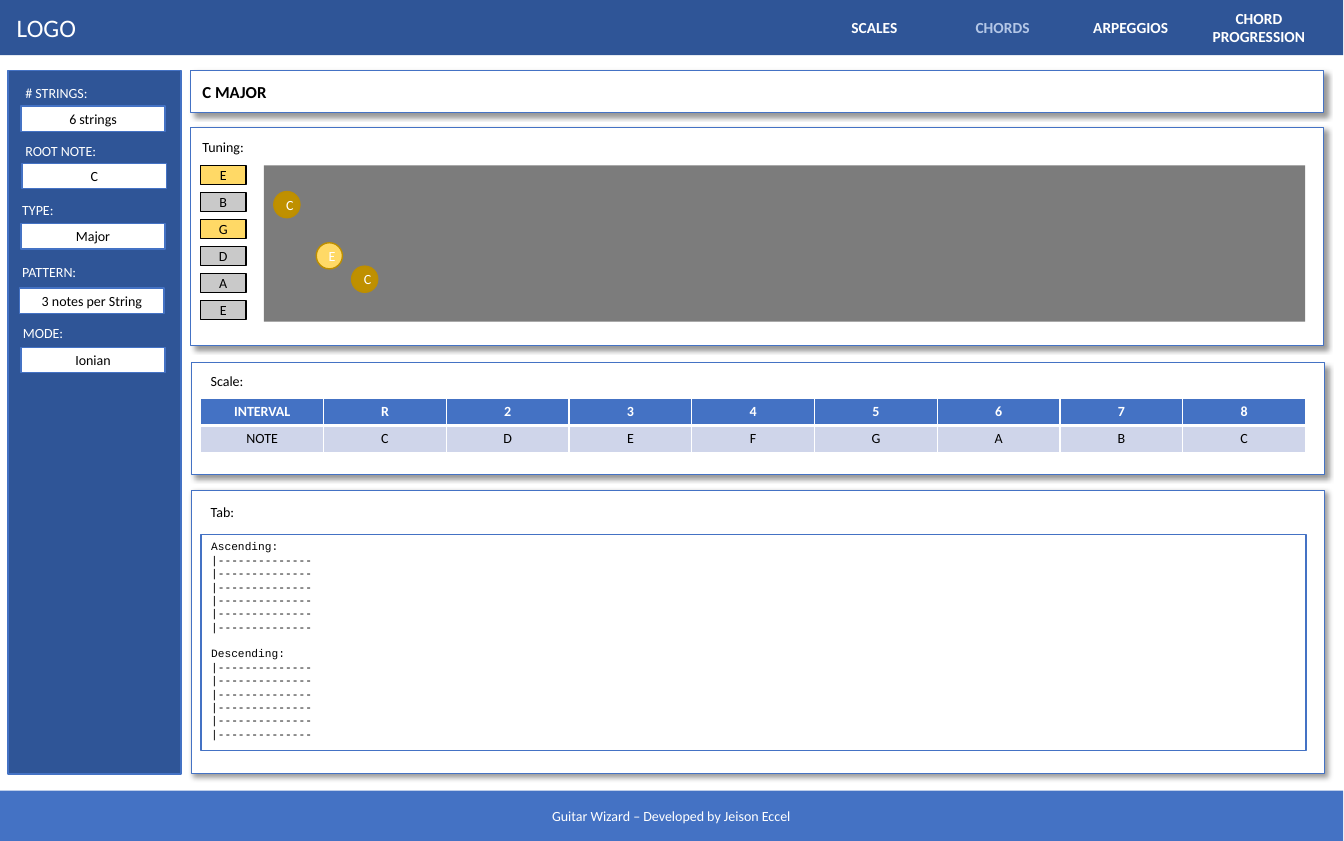
from lxml.etree import SubElement
from pptx import Presentation
from pptx.dml.color import RGBColor
from pptx.enum.shapes import MSO_SHAPE
from pptx.enum.text import MSO_ANCHOR, MSO_AUTO_SIZE, PP_ALIGN
from pptx.oxml import parse_xml
from pptx.oxml.ns import nsdecls, qn
from pptx.util import Cm, Pt

WHITE = RGBColor(0xFF, 0xFF, 0xFF)
BLACK = RGBColor(0, 0, 0)
BLUE = RGBColor(0x44, 0x72, 0xC4)
NAVY = RGBColor(0x2F, 0x55, 0x97)
PALE = RGBColor(0xB4, 0xC7, 0xE7)
ICE = RGBColor(0xCF, 0xD5, 0xEA)
GRAY = RGBColor(0x7C, 0x7C, 0x7C)
SILVER = RGBColor(0xC9, 0xC9, 0xC9)
YELLOW = RGBColor(0xFF, 0xD9, 0x66)
GOLD = RGBColor(0xBF, 0x90, 0x00)
RIM = RGBColor(0xBD, 0x8E, 0x00)

SHADOW = (
    f'<a:effectLst {nsdecls("a")}>'
    '<a:outerShdw blurRad="50800" dist="38100" dir="2700000" algn="tl" rotWithShape="0">'
    '<a:srgbClr val="000000"><a:alpha val="40000"/></a:srgbClr>'
    '</a:outerShdw></a:effectLst>'
)


def assign(item, values):
    for name, value in values.items():
        setattr(item, name, value)


def write(frame, lines, color=BLACK, size=10, bold=False, align=PP_ALIGN.CENTER,
          anchor=MSO_ANCHOR.MIDDLE, face="Calibri"):
    assign(frame, {"text": "\n".join(lines), "word_wrap": True, "vertical_anchor": anchor})
    for para in frame.paragraphs:
        para.alignment = align
        assign(para.font, {"name": face, "size": Pt(size), "bold": bold})
        para.font.color.rgb = color


def paint(shape, fill, line=None):
    shape.fill.solid()
    shape.fill.fore_color.rgb = fill
    if line is None:
        shape.line.fill.background()
    else:
        shape.line.color.rgb = line
        shape.line.width = Pt(1)


def block(slide, box, fill, line=None, text=None, color=BLACK, kind=MSO_SHAPE.RECTANGLE):
    shape = slide.shapes.add_shape(kind, *map(Cm, box))
    shape.shadow.inherit = False
    paint(shape, fill, line)
    if text:
        write(shape.text_frame, [text], color)
    return shape


def label(slide, box, text, **style):
    frame = slide.shapes.add_textbox(*map(Cm, box)).text_frame
    write(frame, [text], **style)


def caption(slide, x, y, text, color=BLACK):
    label(slide, (x, y, 3, 0.68), text, color=color, align=PP_ALIGN.LEFT, anchor=MSO_ANCHOR.TOP)


def panel(slide, box):
    shape = block(slide, box, WHITE, BLUE)
    props = shape._element.spPr
    props.remove(props.find(qn("a:effectLst")))
    props.append(parse_xml(SHADOW))


def heading(slide, box):
    title = slide.shapes.title
    x, y, w, h = map(Cm, box)
    assign(title, {"left": x, "top": y, "width": w, "height": h})
    paint(title, WHITE, BLUE)
    title._element.spPr.append(parse_xml(SHADOW))
    write(title.text_frame, ["C MAJOR"], size=12, bold=True, align=PP_ALIGN.LEFT)
    assign(title.text_frame, {"margin_left": Cm(0.3), "auto_size": MSO_AUTO_SIZE.NONE})


def header(slide, box):
    x, y, w, h = box
    block(slide, box, NAVY)
    label(slide, (x, y, 2.38, h), "LOGO", color=WHITE, size=18)
    step = 3.23
    tabs = ["SCALES", "CHORDS", "ARPEGGIOS", "CHORD PROGRESSION"]
    for i, text in enumerate(tabs):
        color = PALE if text == "CHORDS" else WHITE
        label(slide, (x + 20.44 + i * step, y, step, h), text, color=color, size=11, bold=True)


def sidebar(slide, box):
    x, y, w, h = box
    block(slide, box, NAVY, BLUE)
    fields = [
        ("# STRINGS:", 0.19, 0.23, "6 strings", 0.33, 0.89),
        ("ROOT NOTE:", 0.19, 1.69, "C", 0.36, 2.34),
        ("TYPE:", 0.11, 3.18, "Major", 0.33, 3.86),
        ("PATTERN:", 0.11, 4.73, "3 notes per String", 0.3, 5.48),
        ("MODE:", 0.13, 6.28, "Ionian", 0.33, 6.98),
    ]
    for name, left, top, value, inset, drop in fields:
        caption(slide, x + left, y + top, name, WHITE)
        block(slide, (x + inset, y + drop, 3.63, 0.64), WHITE, BLUE, value)


def tuning(slide, box):
    x, y, w, h = box
    panel(slide, box)
    caption(slide, x + 0.05, y + 0.15, "Tuning:")
    top = y + 0.95
    for i, note in enumerate("EBGDAE"):
        fill = YELLOW if i in (0, 2) else SILVER
        block(slide, (x + 0.25, top + i * 0.68, 1.15, 0.48), fill, BLACK, note)
    left = x + 1.85
    block(slide, (left, top, 26.24, 3.94), GRAY)
    dots = [("E", 1.32, 1.95, YELLOW), ("C", 2.21, 2.54, GOLD), ("C", 0.25, 0.66, GOLD)]
    for note, dx, dy, fill in dots:
        block(slide, (left + dx, top + dy, 0.66, 0.66), fill, RIM, note, WHITE, MSO_SHAPE.OVAL)


def border(cell, side, width):
    line = SubElement(cell._tc.get_or_add_tcPr(), qn(f"a:ln{side}"), w=str(Pt(width)))
    fill = SubElement(line, qn("a:solidFill"))
    SubElement(fill, qn("a:srgbClr"), val=str(WHITE))


def scale(slide, box):
    x, y, w, h = box
    panel(slide, box)
    caption(slide, x + 0.24, y + 0.13, "Scale:")
    rows = [["INTERVAL", "R", *"2345678"], ["NOTE", *"CDEFGABC"]]
    area = map(Cm, (x + 0.24, y + 0.91, 27.84, 1.35))
    table = slide.shapes.add_table(len(rows), len(rows[0]), *area).table
    table.horz_banding = False
    for r, row in enumerate(rows):
        head = r == 0
        for c, text in enumerate(row):
            cell = table.cell(r, c)
            for side in "LRTB":
                thick = side == ("B" if head else "T")
                border(cell, side, 3 if thick else 1)
            cell.fill.solid()
            cell.fill.fore_color.rgb = BLUE if head else ICE
            write(cell.text_frame, [text], WHITE if head else BLACK, bold=head)


def tab(slide, box):
    x, y, w, h = box
    panel(slide, box)
    caption(slide, x + 0.24, y + 0.22, "Tab:")
    sheet = block(slide, (x + 0.25, y + 1.12, 27.84, 5.44), WHITE, BLUE)
    strings = ["|" + "-" * 14] * 6
    lines = ["Ascending:", *strings, "Descending:", *strings]
    write(sheet.text_frame, lines, size=8, align=PP_ALIGN.LEFT,
          anchor=MSO_ANCHOR.TOP, face="Courier New")
    sheet.text_frame.paragraphs[len(strings) + 1].space_before = Pt(9.5)


def footer(slide, box):
    block(slide, box, BLUE, text="Guitar Wizard – Developed by Jeison Eccel", color=WHITE)


def main():
    deck = Presentation()
    assign(deck, {"slide_width": Pt(960), "slide_height": Pt(601)})
    slide = deck.slides.add_slide(deck.slide_layouts[5])
    left, span = 4.8, 28.55
    edge, wide = -0.02, 33.87
    heading(slide, (left, 1.77, span, 1.07))
    header(slide, (edge, 0, wide, 1.39))
    sidebar(slide, (0.2, 1.78, 4.36, 17.73))
    tuning(slide, (left, 3.22, span, 5.49))
    scale(slide, (left + 0.02, 9.14, span, 2.82))
    tab(slide, (left + 0.02, 12.36, span, 7.14))
    footer(slide, (edge, 19.93, wide, 1.27))
    deck.save("out.pptx")


if __name__ == "__main__":
    main()
